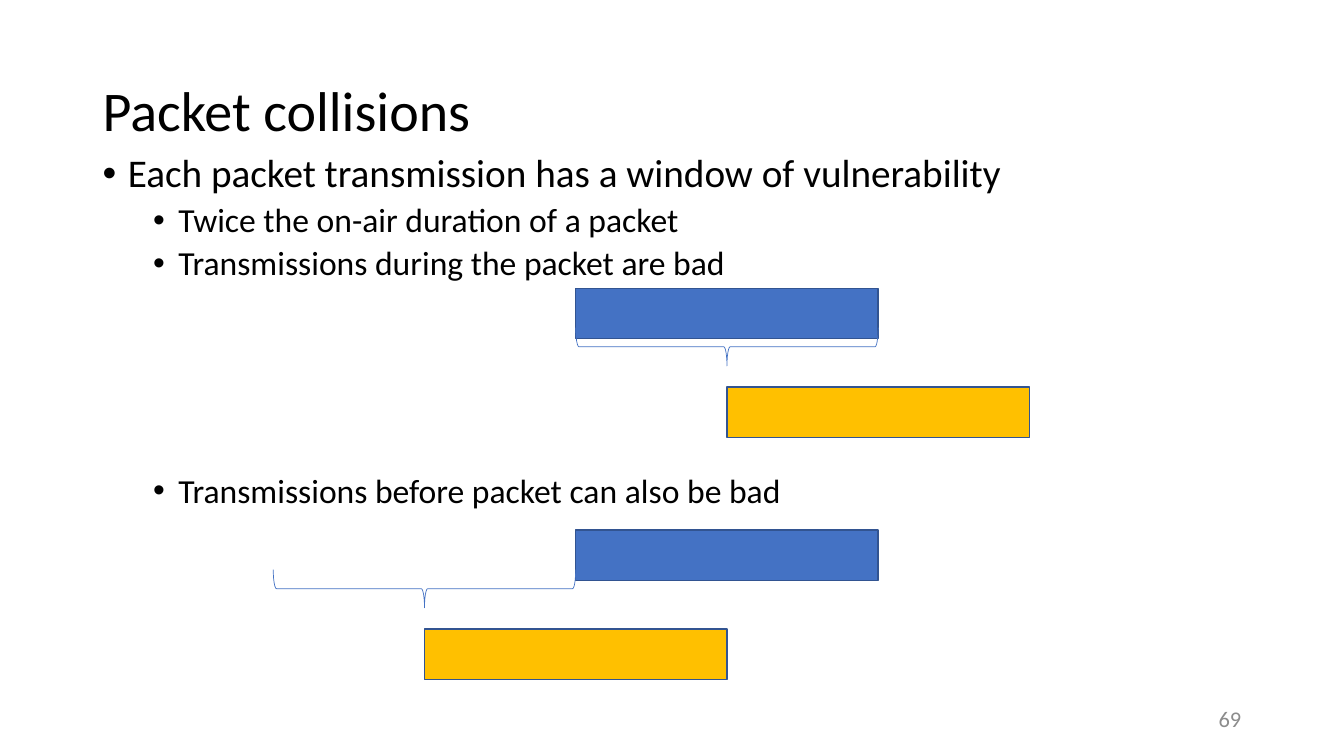
from lxml import etree
from pptx import Presentation
from pptx.dml.color import RGBColor
from pptx.enum.shapes import MSO_SHAPE
from pptx.enum.text import MSO_ANCHOR, PP_ALIGN
from pptx.oxml.ns import qn
from pptx.util import Inches, Pt

RECTANGLE, BRACE = MSO_SHAPE.RECTANGLE, MSO_SHAPE.RIGHT_BRACE
TOP, MIDDLE = MSO_ANCHOR.TOP, MSO_ANCHOR.MIDDLE
LEFT, RIGHT = PP_ALIGN.LEFT, PP_ALIGN.RIGHT

WIDTH, HEIGHT = 13.33, 7.5
MARGIN = 0.92
CONTENT_WIDTH = WIDTH - 2 * MARGIN
FONT = "Calibri"
BLACK, GREY = "000000", "8C8C8C"
BLUE, YELLOW, OUTLINE = "4472C4", "FFC000", "325491"
PACKET_WIDTH, PACKET_HEIGHT = 3, 0.5
BRACE_DEPTH = 0.38

BULLETS = [
    (0, "Each packet transmission has a window of vulnerability", 0),
    (1, "Twice the on-air duration of a packet", 5),
    (1, "Transmissions during the packet are bad", 5),
    (1, "Transmissions before packet can also be bad", 136.5),
]
LEVEL_SIZES = (28, 24)


def color(value):
    """Turn a hex string into a colour."""
    return RGBColor.from_string(value)


def add_box(page, box, anchor):
    """Add a wrapping text box and return its text frame."""
    frame = page.shapes.add_textbox(*map(Inches, box)).text_frame
    frame.word_wrap = True
    frame.vertical_anchor = anchor
    return frame


def add_span(para, text, size, tint):
    """Add one formatted run to a paragraph."""
    span = para.add_run()
    span.text = text
    span.font.name = FONT
    span.font.size = Pt(size)
    span.font.color.rgb = color(tint)


def add_line(page, box, text, size, tint, align):
    """Place a single line of text, centred vertically in its box."""
    para = add_box(page, box, MIDDLE).paragraphs[0]
    para.alignment = align
    para.line_spacing = 0.9
    add_span(para, text, size, tint)


def add_bullets(page, box):
    """Place the two-level bullet list in its box."""
    frame = add_box(page, box, TOP)
    for index, (level, text, before) in enumerate(BULLETS):
        para = frame.add_paragraph() if index else frame.paragraphs[0]
        para.level = level
        para.line_spacing = 0.9
        para.space_before = Pt(before)
        properties = para._p.get_or_add_pPr()
        properties.set("marL", str(Inches(0.25 + 0.5 * level)))
        properties.set("indent", str(Inches(-0.25)))
        etree.SubElement(properties, qn("a:buFont")).set("typeface", "Arial")
        etree.SubElement(properties, qn("a:buChar")).set("char", "•")
        add_span(para, text, LEVEL_SIZES[level], BLACK)


def add_figure(page, kind, box, line, weight, fill=None):
    """Add a preset shape with an outline and an optional fill."""
    figure = page.shapes.add_shape(kind, *map(Inches, box))
    figure.shadow.inherit = False
    figure.line.color.rgb = color(line)
    figure.line.width = Pt(weight)
    if fill:
        figure.fill.solid()
        figure.fill.fore_color.rgb = color(fill)
    else:
        figure.fill.background()
    return figure


def add_collision(page, left, top, shift):
    """Draw a packet, its window moved by shift packets, and a colliding packet."""
    window = left + shift * PACKET_WIDTH
    middle = window + PACKET_WIDTH / 2
    packets = ((left, top, BLUE), (middle, top + 0.98, YELLOW))
    for start, level, fill in packets:
        box = (start, level, PACKET_WIDTH, PACKET_HEIGHT)
        add_figure(page, RECTANGLE, box, OUTLINE, 1, fill)
    brace_box = (middle - BRACE_DEPTH / 2, top + 0.58 - PACKET_WIDTH / 2,
                 BRACE_DEPTH, PACKET_WIDTH)
    add_figure(page, BRACE, brace_box, BLUE, 0.5).rotation = 90


def build_slide(deck):
    """Build the packet collisions slide."""
    page = deck.slides.add_slide(deck.slide_layouts[6])
    add_line(page, (MARGIN, 0.4, CONTENT_WIDTH, 1.45),
             "Packet collisions", 40, BLACK, LEFT)
    add_bullets(page, (MARGIN, 1.48, CONTENT_WIDTH, 4.76))
    add_collision(page, 5.71, 2.86, 0)
    add_collision(page, 5.71, 5.26, -1)
    add_line(page, (WIDTH - MARGIN - 3, 6.95, 3, 0.4), "69", 16, GREY, RIGHT)


def main():
    """Create and save the deck."""
    deck = Presentation()
    deck.slide_width, deck.slide_height = Inches(WIDTH), Inches(HEIGHT)
    build_slide(deck)
    deck.save("out.pptx")


if __name__ == "__main__":
    main()
